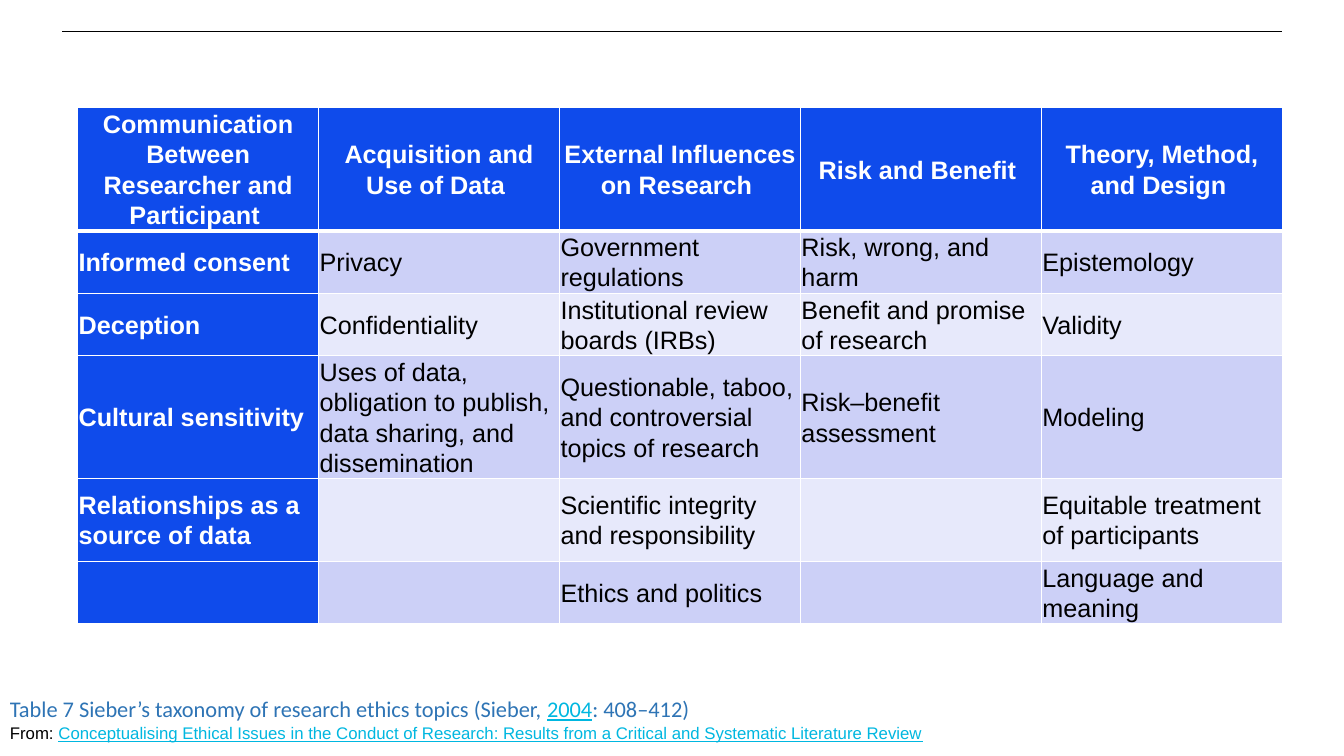
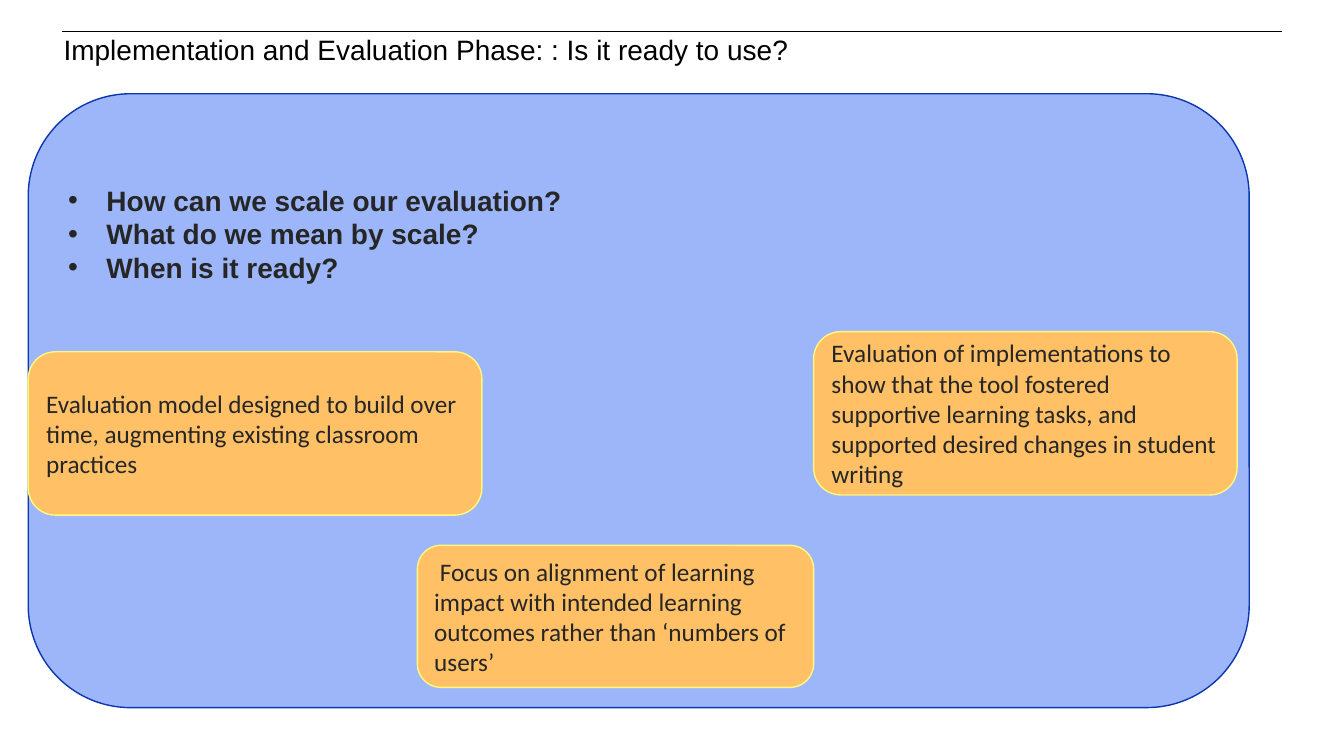
"""Build two slides on research ethics topics and on the evaluation phase."""
from dataclasses import dataclass

from lxml.etree import SubElement
from pptx import Presentation
from pptx.dml.color import RGBColor
from pptx.enum.shapes import MSO_CONNECTOR, MSO_SHAPE
from pptx.enum.text import MSO_ANCHOR, MSO_AUTO_SIZE, PP_ALIGN
from pptx.oxml.ns import qn
from pptx.util import Emu, Length, Pt

EMU_PER_PX = 9144
SLIDE_WIDTH, SLIDE_HEIGHT = 1333, 750
TITLE_ONLY_LAYOUT, BLANK_LAYOUT = 5, 6

BLACK = RGBColor(0x00, 0x00, 0x00)
WHITE = RGBColor(0xFF, 0xFF, 0xFF)
CHARCOAL = RGBColor(0x26, 0x26, 0x26)
HEADER_BLUE = RGBColor(0x0F, 0x4B, 0xEB)
BAND_DARK = RGBColor(0xCC, 0xD0, 0xF7)
BAND_LIGHT = RGBColor(0xE7, 0xE9, 0xFB)
CAPTION_BLUE = RGBColor(0x2E, 0x74, 0xB5)
LINK_CYAN = RGBColor(0x00, 0xB7, 0xE0)
PANEL_BLUE = RGBColor(0x9D, 0xB6, 0xF9)
PANEL_EDGE = RGBColor(0x0B, 0x37, 0xAE)
NOTE_ORANGE = RGBColor(0xFF, 0xC0, 0x66)
NOTE_EDGE = RGBColor(0xFC, 0xF9, 0x7E)

TABLE_LEFT, TABLE_TOP, COLUMN_WIDTH, CELL_MARGIN = 77, 107, 239, 1
ROW_HEIGHTS = (122, 62, 62, 122, 82, 62)
TAXONOMY = (
    ("Communication Between Researcher and Participant ", "Acquisition and Use of Data ",
     "External Influences on Research ", "Risk and Benefit ", "Theory, Method, and Design "),
    ("Informed consent", "Privacy", "Government regulations",
     "Risk, wrong, and harm", "Epistemology"),
    ("Deception", "Confidentiality", "Institutional review boards (IRBs)",
     "Benefit and promise of research", "Validity"),
    ("Cultural sensitivity",
     "Uses of data, obligation to publish, data sharing, and dissemination",
     "Questionable, taboo, and controversial topics of research",
     "Risk–benefit assessment", "Modeling"),
    ("Relationships as a source of data", "", "Scientific integrity and responsibility",
     "", "Equitable treatment of participants"),
    ("", "", "Ethics and politics", "", "Language and meaning"),
)
QUESTIONS = ("How can we scale our evaluation?", "What do we mean by scale?", "When is it ready?")
BULLET_INDENT = 38


@dataclass(frozen=True)
class Box:
    """Place of an object, in px."""

    left: int
    top: int
    width: int
    height: int

    def lengths(self) -> tuple[Length, ...]:
        """Return left, top, width and height in EMU."""
        return tuple(px(value) for value in (self.left, self.top, self.width, self.height))


@dataclass(frozen=True)
class Note:
    """A statement in a rounded box."""

    box: Box
    text: str


TITLE_BOX = Box(63, 31, 1209, 29)
CAPTION_BOX = Box(0, 673, 1333, 64)
PANEL_BOX = Box(28, 93, 1211, 609)
NOTES = (
    Note(Box(28, 349, 450, 162),
         "Evaluation model designed to build over time, augmenting existing classroom practices"),
    Note(Box(414, 541, 393, 141),
         " Focus on alignment of learning impact with intended learning outcomes "
         "rather than ‘numbers of users’"),
    Note(Box(807, 329, 420, 162),
         "Evaluation of implementations to show that the tool fostered supportive learning "
         "tasks, and supported desired changes in student writing"),
)


def px(value: int) -> Length:
    """Turn px into EMU."""
    return Emu(value * EMU_PER_PX)


def add_text(paragraph, text: str, *, size: int, color: RGBColor = BLACK, font: str = "Arial",
             bold: bool = False, underline: bool = False, align=PP_ALIGN.LEFT,
             line_spacing=None, space_after: int = 0) -> None:
    """Add a formatted run to a paragraph."""
    paragraph.alignment = align
    paragraph.line_spacing = line_spacing
    paragraph.space_before, paragraph.space_after = Pt(0), Pt(space_after)
    run = paragraph.add_run()
    run.text = text
    run.font.size, run.font.name = Pt(size), font
    run.font.bold, run.font.underline = bold, underline
    run.font.color.rgb = color


def set_margins(target, left: int, top: int, right: int, bottom: int) -> None:
    """Set the inner margins of a cell or text frame, in px."""
    target.margin_left, target.margin_top = px(left), px(top)
    target.margin_right, target.margin_bottom = px(right), px(bottom)


def add_slide(presentation, layout: int):
    """Add a slide with the shared rule at the top."""
    slide = presentation.slides.add_slide(presentation.slide_layouts[layout])
    rule = slide.shapes.add_connector(
        MSO_CONNECTOR.STRAIGHT, px(62), px(31), px(1272), px(31))
    rule.line.color.rgb, rule.line.width = BLACK, Pt(0.25)
    SubElement(rule._element.spPr, qn("a:effectLst"))
    return slide


def set_title(slide, text: str) -> None:
    """Place and fill the title placeholder."""
    title = slide.shapes.title
    title.left, title.top, title.width, title.height = TITLE_BOX.lengths()
    frame = title.text_frame
    frame.word_wrap, frame.auto_size = True, MSO_AUTO_SIZE.NONE
    frame.vertical_anchor = MSO_ANCHOR.TOP
    set_margins(frame, 0, 5, 10, 5)
    add_text(frame.paragraphs[0], text, size=20, line_spacing=0.9)


def add_rounded_box(slide, box: Box, fill: RGBColor, edge: RGBColor, anchor):
    """Add a rounded rectangle and return its text frame."""
    shape = slide.shapes.add_shape(MSO_SHAPE.ROUNDED_RECTANGLE, *box.lengths())
    shape.shadow.inherit = False
    shape.fill.solid()
    shape.fill.fore_color.rgb = fill
    shape.line.color.rgb, shape.line.width = edge, Pt(1)
    frame = shape.text_frame
    frame.word_wrap, frame.vertical_anchor = True, anchor
    return frame


def set_bullet(paragraph) -> None:
    """Give a paragraph a hanging round bullet."""
    properties = paragraph._p.get_or_add_pPr()
    properties.set("marL", str(px(BULLET_INDENT)))
    properties.set("indent", str(px(-BULLET_INDENT)))
    SubElement(properties, qn("a:buFont"), typeface="Arial")
    SubElement(properties, qn("a:buChar"), char="•")


def set_borders(cell, top: int, bottom: int) -> None:
    """Draw white cell borders, 1 pt wide at the sides."""
    properties = cell._tc.get_or_add_tcPr()
    for side, width in (("L", 1), ("R", 1), ("T", top), ("B", bottom)):
        line = SubElement(properties, qn(f"a:ln{side}"), w=str(Pt(width)))
        SubElement(SubElement(line, qn("a:solidFill")), qn("a:srgbClr"), val=str(WHITE))


def format_cell(cell, text: str, row: int, column: int) -> None:
    """Fill, border and write one taxonomy cell."""
    is_heading = row == 0 or column == 0
    set_borders(cell, top=3 if row == 1 else 1, bottom=3 if row == 0 else 1)
    cell.fill.solid()
    cell.fill.fore_color.rgb = (
        HEADER_BLUE if is_heading else BAND_DARK if row % 2 else BAND_LIGHT)
    cell.vertical_anchor = MSO_ANCHOR.MIDDLE
    set_margins(cell, *[CELL_MARGIN] * 4)
    if text:
        add_text(cell.text_frame.paragraphs[0], text, size=18, bold=is_heading,
                 color=WHITE if is_heading else BLACK,
                 align=PP_ALIGN.LEFT if row else PP_ALIGN.CENTER,
                 line_spacing=1.07, space_after=8)


def add_taxonomy_table(slide) -> None:
    """Add the table of research ethics topics."""
    column_count = len(TAXONOMY[0])
    box = Box(TABLE_LEFT, TABLE_TOP, COLUMN_WIDTH * column_count, sum(ROW_HEIGHTS))
    table = slide.shapes.add_table(len(TAXONOMY), column_count, *box.lengths()).table
    table.first_row = table.horz_banding = False
    for column in table.columns:
        column.width = px(COLUMN_WIDTH)
    for row, texts in enumerate(TAXONOMY):
        table.rows[row].height = px(ROW_HEIGHTS[row])
        for column, text in enumerate(texts):
            format_cell(table.cell(row, column), text, row, column)


def add_caption(slide) -> None:
    """Add the table caption and its source."""
    frame = slide.shapes.add_textbox(*CAPTION_BOX.lengths()).text_frame
    frame.word_wrap = True
    set_margins(frame, 10, 17, 10, 0)
    caption, source = frame.paragraphs[0], frame.add_paragraph()
    for text, color in (
            ("Table 7 Sieber’s taxonomy of research ethics topics (Sieber, ", CAPTION_BLUE),
            ("2004", LINK_CYAN), (": 408–412)", CAPTION_BLUE)):
        add_text(caption, text, size=16, font="Calibri", color=color,
                 underline=color == LINK_CYAN)
    add_text(source, "From: ", size=12)
    add_text(source, "Conceptualising Ethical Issues in the Conduct of Research: "
             "Results from a Critical and Systematic Literature Review",
             size=12, color=LINK_CYAN, underline=True)


def build_taxonomy_slide(presentation) -> None:
    """Build the slide with the ethics table."""
    slide = add_slide(presentation, BLANK_LAYOUT)
    add_taxonomy_table(slide)
    add_caption(slide)


def build_evaluation_slide(presentation) -> None:
    """Build the slide with the questions and notes."""
    slide = add_slide(presentation, TITLE_ONLY_LAYOUT)
    set_title(slide, "Implementation and Evaluation Phase: : Is it ready to use?")
    frame = add_rounded_box(slide, PANEL_BOX, PANEL_BLUE, PANEL_EDGE, MSO_ANCHOR.TOP)
    set_margins(frame, 10, 59, 10, 5)
    for index, question in enumerate(QUESTIONS):
        paragraph = frame.add_paragraph() if index else frame.paragraphs[0]
        add_text(paragraph, question, size=20, color=CHARCOAL, bold=True, line_spacing=Pt(24))
        set_bullet(paragraph)
    for note in NOTES:
        frame = add_rounded_box(slide, note.box, NOTE_ORANGE, NOTE_EDGE, MSO_ANCHOR.MIDDLE)
        add_text(frame.paragraphs[0], note.text, size=18, font="Calibri", color=CHARCOAL)


def main() -> None:
    """Build and save the presentation."""
    presentation = Presentation()
    presentation.slide_width, presentation.slide_height = px(SLIDE_WIDTH), px(SLIDE_HEIGHT)
    build_taxonomy_slide(presentation)
    build_evaluation_slide(presentation)
    presentation.save("out.pptx")


if __name__ == "__main__":
    main()
